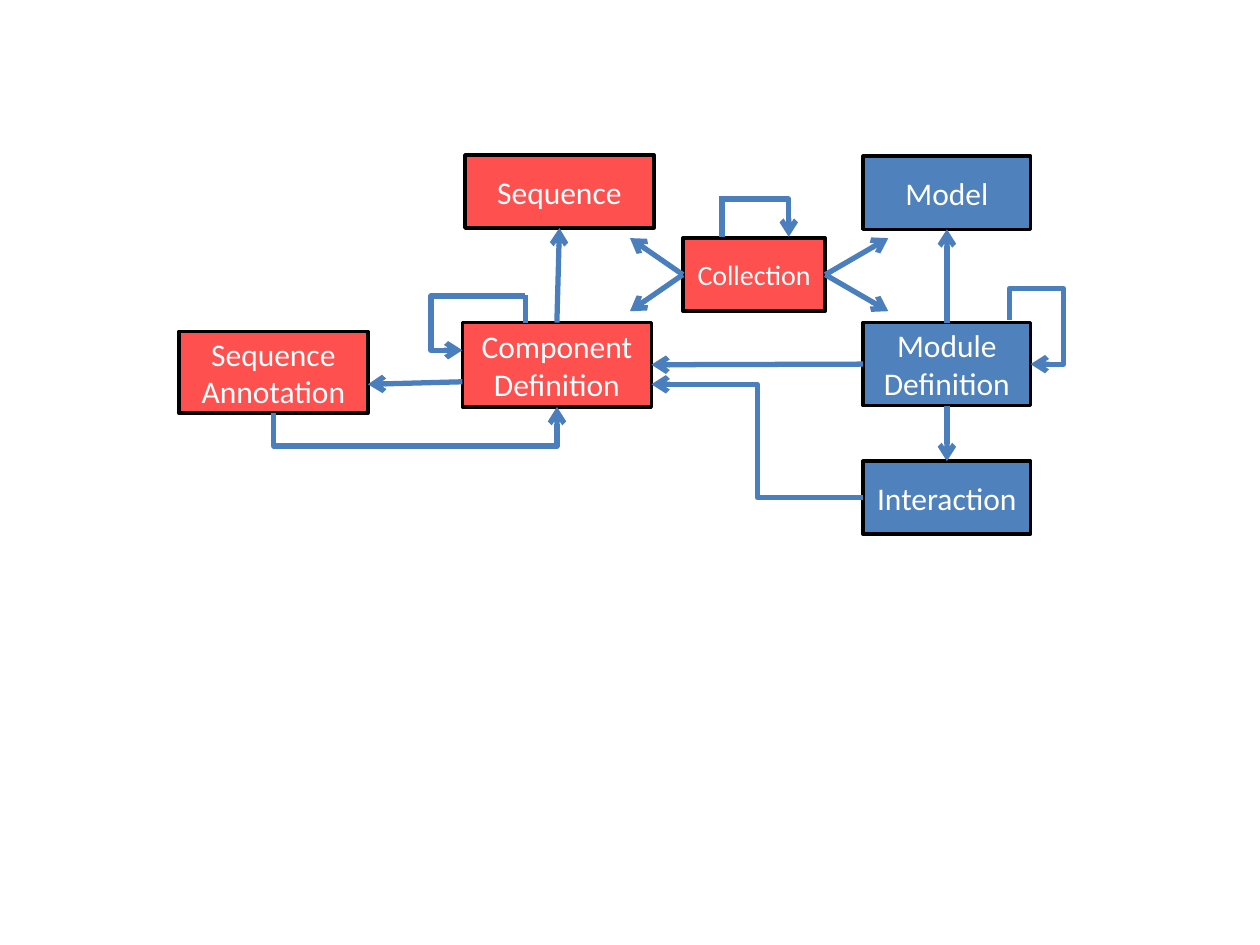
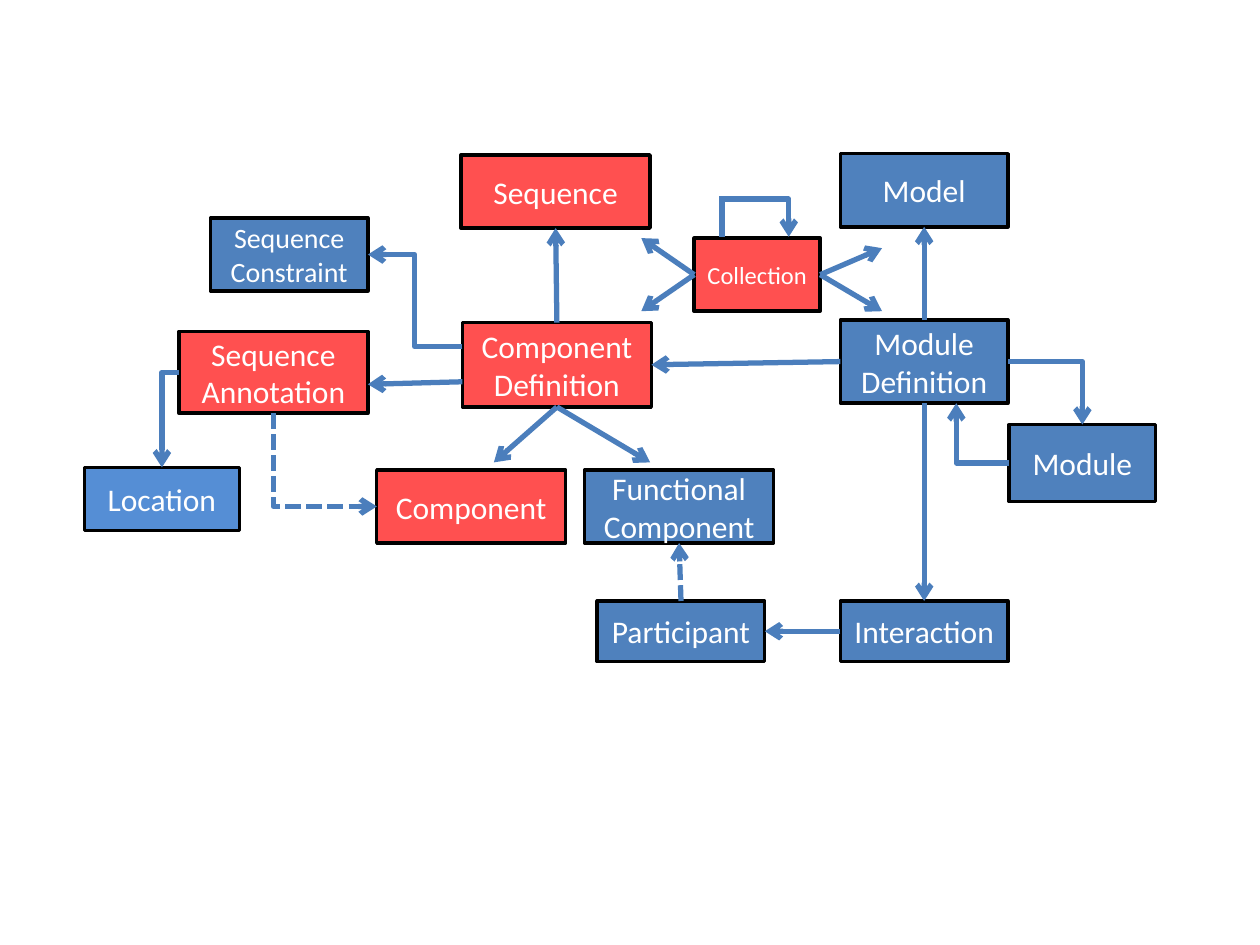
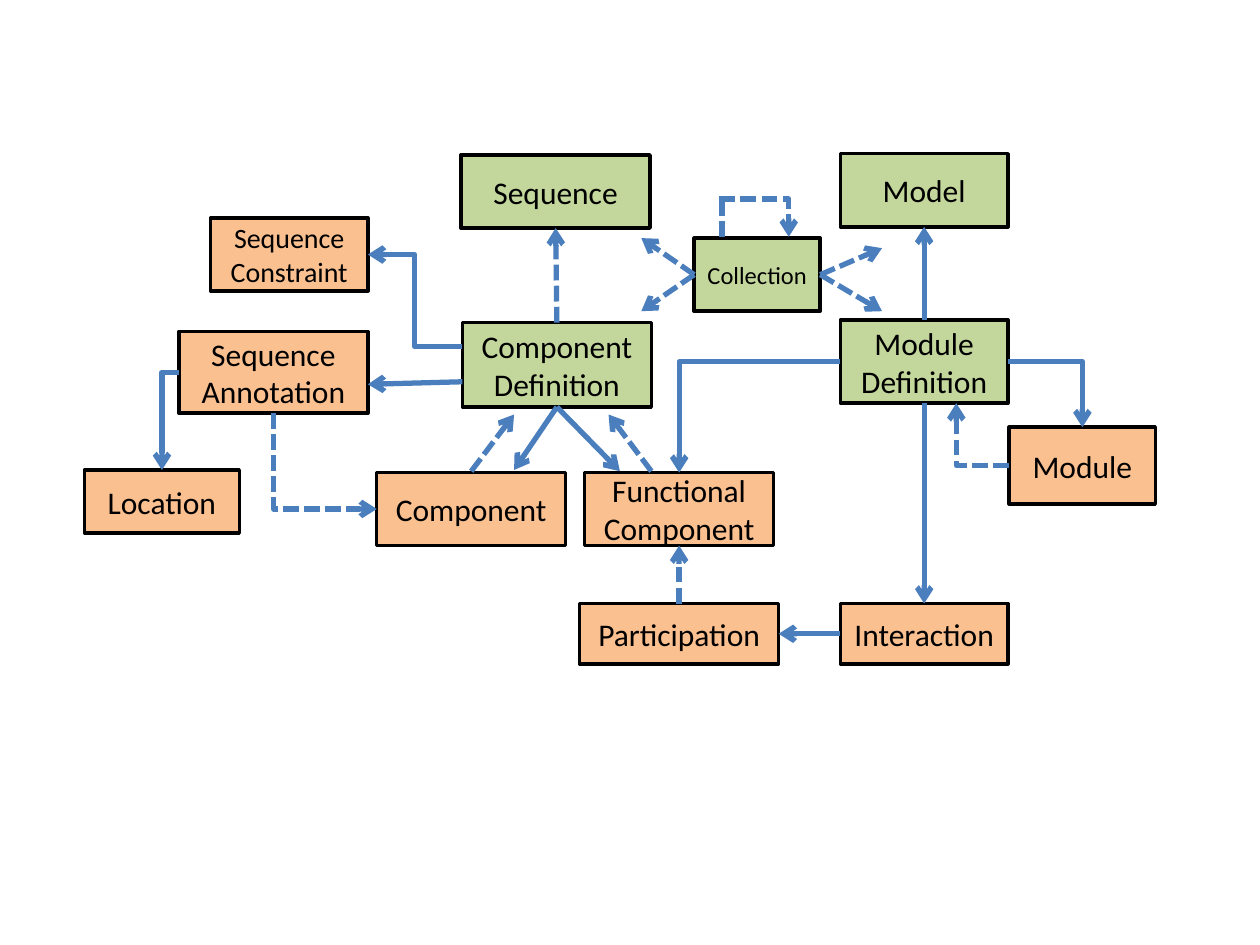
from lxml.etree import SubElement
from pptx import Presentation
from pptx.dml.color import RGBColor
from pptx.enum.dml import MSO_LINE
from pptx.enum.shapes import MSO_CONNECTOR, MSO_SHAPE
from pptx.enum.text import MSO_ANCHOR, PP_ALIGN
from pptx.oxml.ns import qn
from pptx.util import Emu, Inches, Pt

COLORS = {
    "red": "FF5050", "blue": "4F81BD", "sky": "558ED5",
    "green": "C3D69B", "orange": "FAC090",
    "link": "4B7EBC", "black": "000000", "white": "FFFFFF",
}
FONT = "Calibri"
TOP, LEFT, BOTTOM, RIGHT = range(4)
TEXT_SIZES = {"Sequence Constraint": 16}
TOP_LEVEL = ("Sequence", "Component Definition", "Collection", "Model", "Module Definition")
CORE = ("Sequence", "Sequence Annotation", "Component Definition", "Collection", "Component")


def color(name):
    return RGBColor.from_string(COLORS[name])


class Diagram:
    """A slide with named boxes; a link end is (box name, side) or (x, y) in inches."""

    def __init__(self, prs, text_color):
        self.shapes = prs.slides.add_slide(prs.slide_layouts[6]).shapes
        self.text_color = text_color
        self.boxes = {}

    def box(self, name, fill, place, size=18):
        sp = self.shapes.add_shape(MSO_SHAPE.RECTANGLE, *map(Inches, place))
        sp.shadow.inherit = False
        sp.fill.solid()
        sp.fill.fore_color.rgb = color(fill)
        sp.line.color.rgb = color("black")
        sp.line.width = Pt(2)
        tf = sp.text_frame
        tf.text = name
        tf.word_wrap = True
        tf.vertical_anchor = MSO_ANCHOR.MIDDLE
        p = tf.paragraphs[0]
        p.alignment = PP_ALIGN.CENTER
        font = p.runs[0].font
        font.name, font.size = FONT, Pt(size)
        font.color.rgb = color(self.text_color)
        self.boxes[name] = sp

    def point(self, end):
        if end[0] not in self.boxes:
            return [Inches(value) for value in end]
        sp, side = self.boxes[end[0]], end[1]
        x = sp.left + sp.width * {LEFT: 0, RIGHT: 1}.get(side, 0.5)
        y = sp.top + sp.height * {TOP: 0, BOTTOM: 1}.get(side, 0.5)
        return [Emu(int(x)), Emu(int(y))]

    def line(self, start, end, dashed=False, arrow=True):
        c = self.shapes.add_connector(
            MSO_CONNECTOR.STRAIGHT, *self.point(start), *self.point(end))
        if start[0] in self.boxes:
            c.begin_connect(self.boxes[start[0]], start[1])
        if end[0] in self.boxes:
            c.end_connect(self.boxes[end[0]], end[1])
        style_link(c, dashed, arrow)

    def elbow(self, start, end, first, turns=(), dashed=False):
        """Right-angled arrow leaving along axis first ("x" or "y").

        turns holds the coordinates, alternating between the axes, where it
        bends before the last corner.
        """
        begin, stop = self.point(start), self.point(end)
        delta = [b - a for a, b in zip(begin, stop)]
        upright = first == "y"
        w, h = (abs(d) for d in (reversed(delta) if upright else delta))
        left = (begin[0] + stop[0] - w) // 2
        top = (begin[1] + stop[1] - h) // 2
        c = self.shapes.add_connector(MSO_CONNECTOR.ELBOW, left, top, left + w, top + h)

        if upright:
            angle = 270 if delta[1] > 0 else 90
            flip_v = (delta[0] > 0) == (angle == 90)
        else:
            angle = 180 if delta[0] < 0 else 0
            flip_v = (delta[1] > 0) == (angle == 180)
        xfrm = c._element.spPr.find(qn("a:xfrm"))
        xfrm.set("rot", str(angle * 60000))
        xfrm.set("flipH", str(int(upright)))
        xfrm.set("flipV", str(int(flip_v)))

        geom = c._element.spPr.find(qn("a:prstGeom"))
        geom.set("prst", f"bentConnector{len(turns) + 2}")
        guides = geom.find(qn("a:avLst"))
        for i, turn in enumerate(turns):
            axis = (i + upright) % 2
            share = (Inches(turn) - begin[axis]) / delta[axis]
            SubElement(guides, qn("a:gd"), name=f"adj{i + 1}",
                       fmla=f"val {round(share * 100000)}")
        style_link(c, dashed)

    def fan(self, start, ends, dashed=False):
        for end in ends:
            self.line(start, end, dashed)

    def collection_loop(self, dashed=False):
        self.elbow((5.71, 1.58), (6.26, 1.88), "x", dashed=dashed)
        self.line((5.73, 1.88), (5.73, 1.57), dashed, arrow=False)


def style_link(c, dashed, arrow=True):
    c.line.color.rgb = color("link")
    c.line.width = Pt(3)
    if dashed:
        c.line.dash_style = MSO_LINE.SQUARE_DOT
    if arrow:
        SubElement(c.line._get_or_add_ln(), qn("a:tailEnd"), type="arrow")
    SubElement(c._element.spPr, qn("a:effectLst"))


def add_overview(prs):
    d = Diagram(prs, "white")
    for name, fill, place in (
        ("Module Definition", "blue", (6.85, 2.56, 1.33, 0.66)),
        ("Interaction", "blue", (6.85, 3.66, 1.33, 0.58)),
        ("Sequence", "red", (3.69, 1.23, 1.5, 0.58)),
        ("Sequence Annotation", "red", (1.42, 2.63, 1.5, 0.65)),
        ("Component Definition", "red", (3.67, 2.56, 1.5, 0.67)),
        ("Model", "blue", (6.85, 1.24, 1.33, 0.58)),
    ):
        d.box(name, fill, place)
    d.box("Collection", "red", (5.42, 1.89, 1.13, 0.58), size=16)

    d.line((3.67, 3.03), (2.92, 3.05))
    d.line(("Component Definition", TOP), ("Sequence", BOTTOM))
    d.line(("Module Definition", LEFT), ("Component Definition", RIGHT))
    d.line(("Module Definition", BOTTOM), ("Interaction", TOP))
    d.line(("Module Definition", TOP), ("Model", BOTTOM))
    d.fan(("Collection", LEFT), ((5, 2.47), (5, 1.89)))
    d.fan(("Collection", RIGHT), ((7.05, 1.89), (7.05, 2.47)))
    d.elbow(("Interaction", LEFT), (5.17, 3.05), "x", [6.01])
    d.elbow((8.01, 2.54), ("Module Definition", RIGHT), "y", [2.29, 8.44])
    d.elbow(("Sequence Annotation", BOTTOM), ("Component Definition", BOTTOM), "y", [3.54])
    d.collection_loop()
    d.elbow((4.17, 2.35), (3.67, 2.78), "x", [3.42])
    d.line((4.17, 2.56), (4.17, 2.34), arrow=False)


def add_full_model(prs, text_color, fill_of, participant, drop=0, dashed=False):
    """Boxes and links that both detailed slides share; drop lowers the bottom rows."""
    d = Diagram(prs, text_color)
    for name, place in {
        "Module Definition": (6.67, 2.54, 1.33, 0.66),
        "Interaction": (6.67, 4.77 + drop, 1.33, 0.48),
        "Sequence": (3.66, 1.23, 1.5, 0.58),
        "Sequence Annotation": (1.42, 2.63, 1.5, 0.65),
        "Component Definition": (3.67, 2.56, 1.5, 0.67),
        "Model": (6.67, 1.22, 1.33, 0.58),
        "Functional Component": (4.64, 3.73 + drop, 1.5, 0.58),
        "Module": (8.01, 3.37 + drop, 1.16, 0.61),
        "Component": (2.99, 3.73 + drop, 1.5, 0.58),
        "Location": (0.67, 3.71 + drop, 1.23, 0.5),
        "Sequence Constraint": (1.67, 1.73, 1.25, 0.58),
    }.items():
        d.box(name, fill_of(name), place, TEXT_SIZES.get(name, 18))
    d.box("Collection", fill_of("Collection"), (5.51, 1.89, 1, 0.58), size=14)
    name, left, width = participant
    d.box(name, fill_of(name), (left, 4.77 + drop, width, 0.48))

    d.line((3.67, 3.03), (2.92, 3.05))
    d.line(("Component Definition", TOP), ("Sequence", BOTTOM), dashed)
    d.line(("Module Definition", BOTTOM), ("Interaction", TOP))
    d.line(("Module Definition", TOP), ("Model", BOTTOM))
    d.line(("Interaction", LEFT), (name, RIGHT))
    d.line((name, TOP), ("Functional Component", BOTTOM), dashed=True)
    d.fan(("Collection", LEFT), ((5.09, 2.47), (5.09, 1.89)), dashed)
    d.fan(("Collection", RIGHT), ((7, 1.97), (7, 2.47)), dashed)
    d.collection_loop(dashed)
    d.elbow(("Module Definition", RIGHT), ("Module", TOP), "x")
    d.elbow(("Module", LEFT), (7.59, 3.2), "x", dashed=dashed)
    d.elbow(("Sequence Annotation", BOTTOM), ("Component", LEFT), "y", dashed=True)
    d.elbow(("Sequence Annotation", LEFT), ("Location", TOP), "x")
    d.elbow((3.67, 2.75), ("Sequence Constraint", RIGHT), "x", [3.29])
    return d


def core_fill(name):
    if name == "Location":
        return "sky"
    return "red" if name in CORE else "blue"


def level_fill(name):
    return "green" if name in TOP_LEVEL else "orange"


def main():
    prs = Presentation()
    prs.slide_width, prs.slide_height = Inches(10), Inches(7.5)

    add_overview(prs)

    d = add_full_model(prs, "white", core_fill, ("Participant", 4.74, 1.33))
    d.line(("Module Definition", LEFT), ("Component Definition", RIGHT))
    d.fan(("Component Definition", BOTTOM), ((3.92, 3.67), (5.16, 3.67)))

    d = add_full_model(prs, "black", level_fill, ("Participation", 4.6, 1.58),
                       drop=0.02, dashed=True)
    d.fan(("Component Definition", BOTTOM), ((4.08, 3.73), (4.92, 3.74)))
    d.elbow(("Module Definition", LEFT), ("Functional Component", TOP), "x")
    d.line((3.74, 3.74), (4.08, 3.29), dashed=True)
    d.line((5.17, 3.74), (4.83, 3.29), dashed=True)

    prs.save("out.pptx")


if __name__ == "__main__":
    main()
